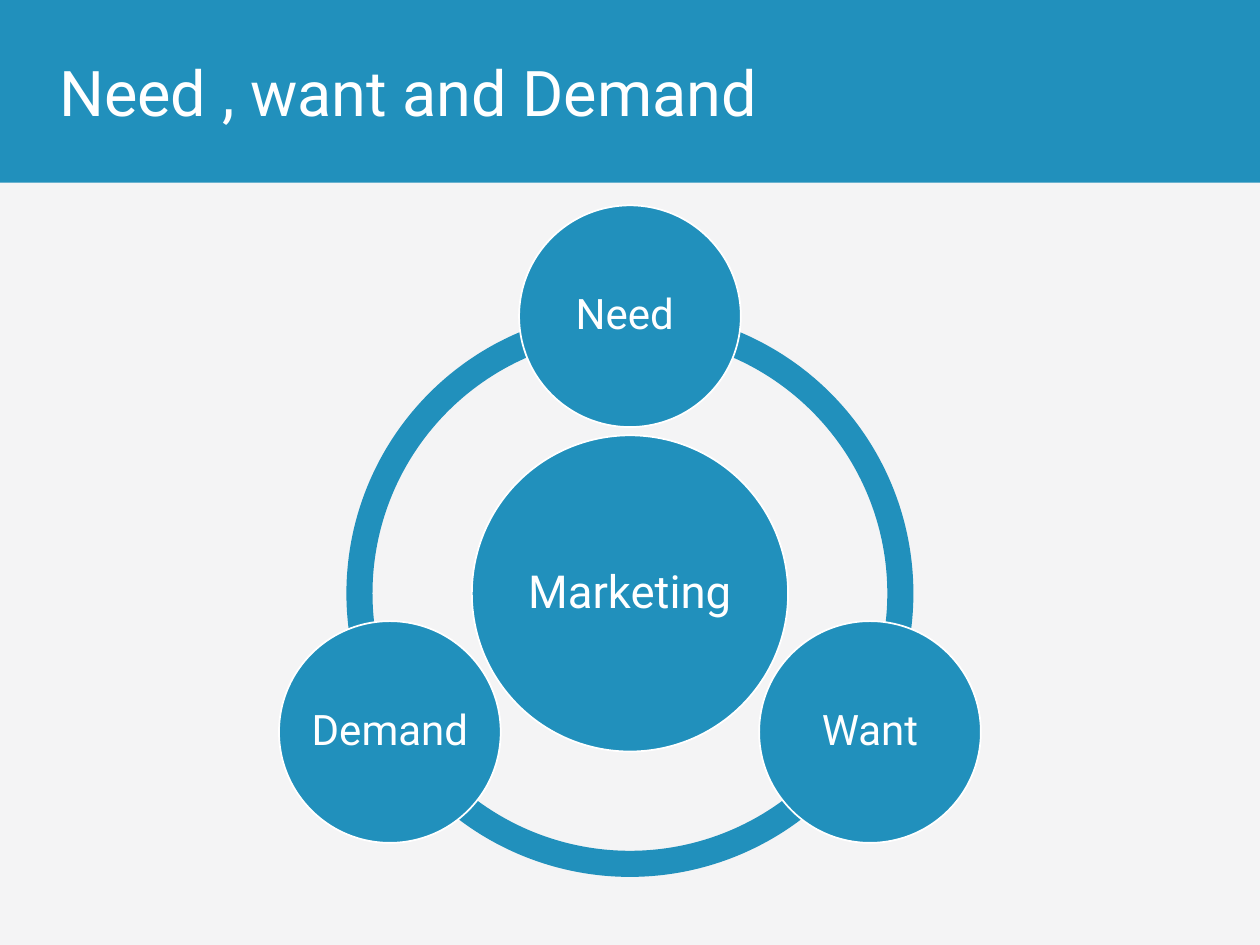
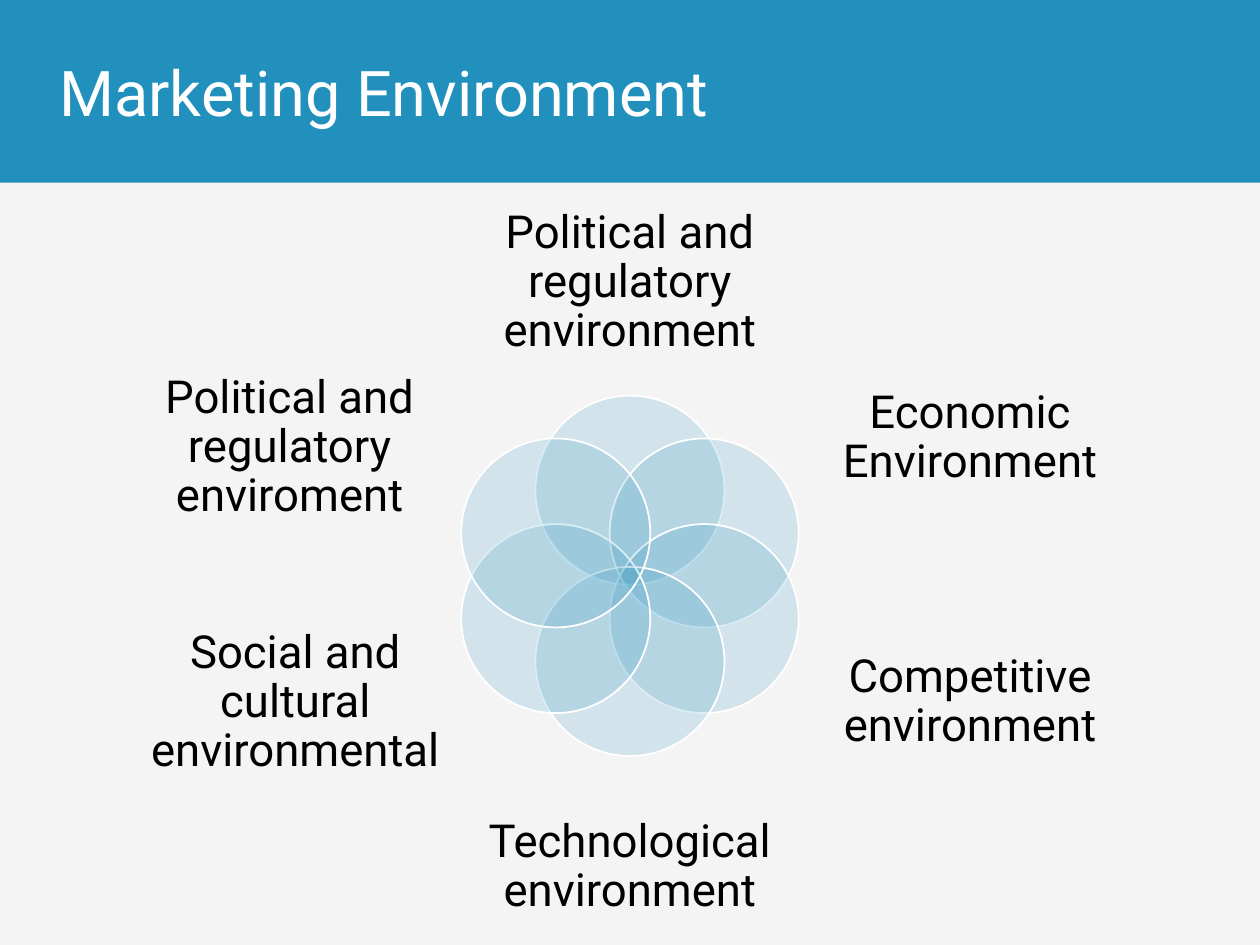
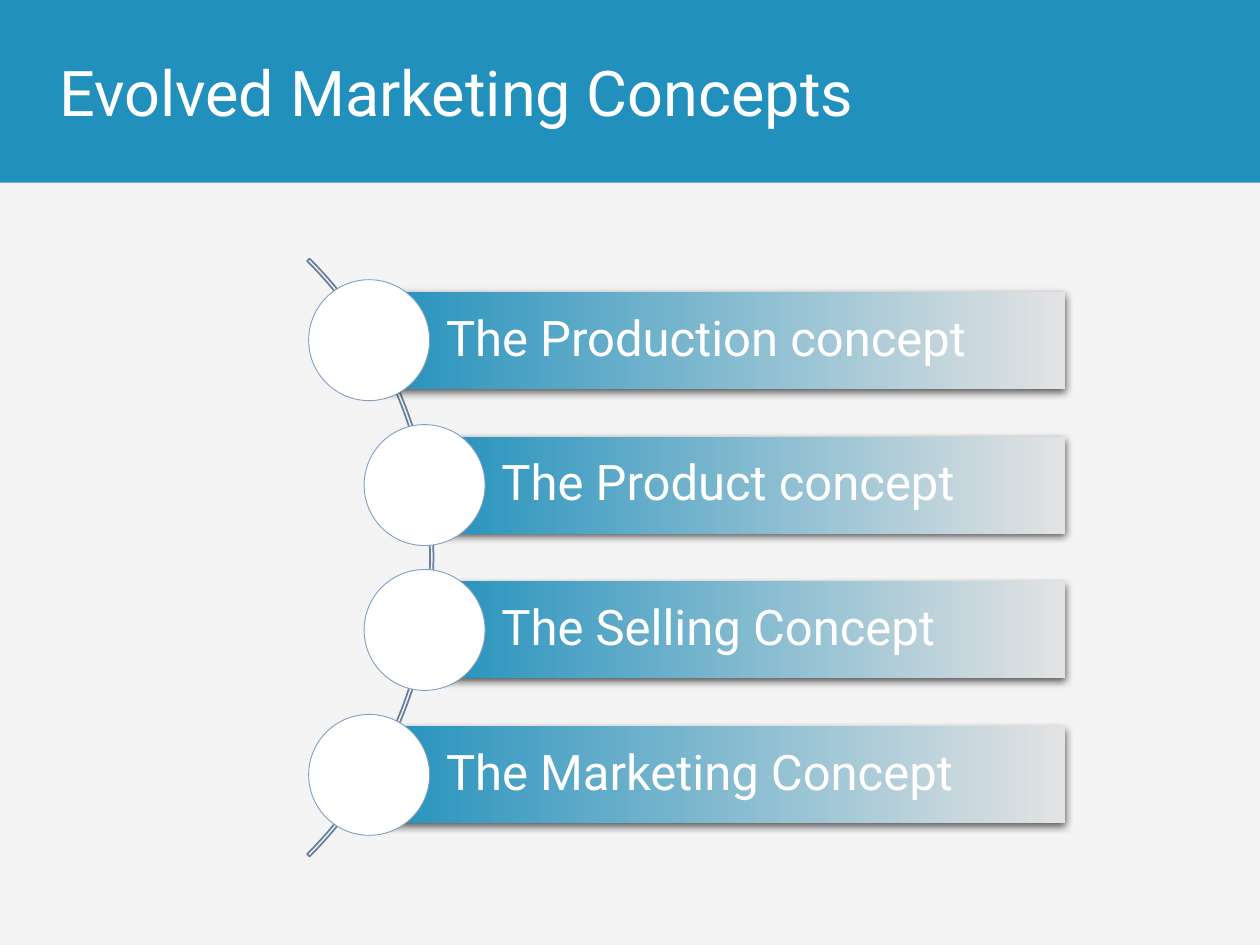
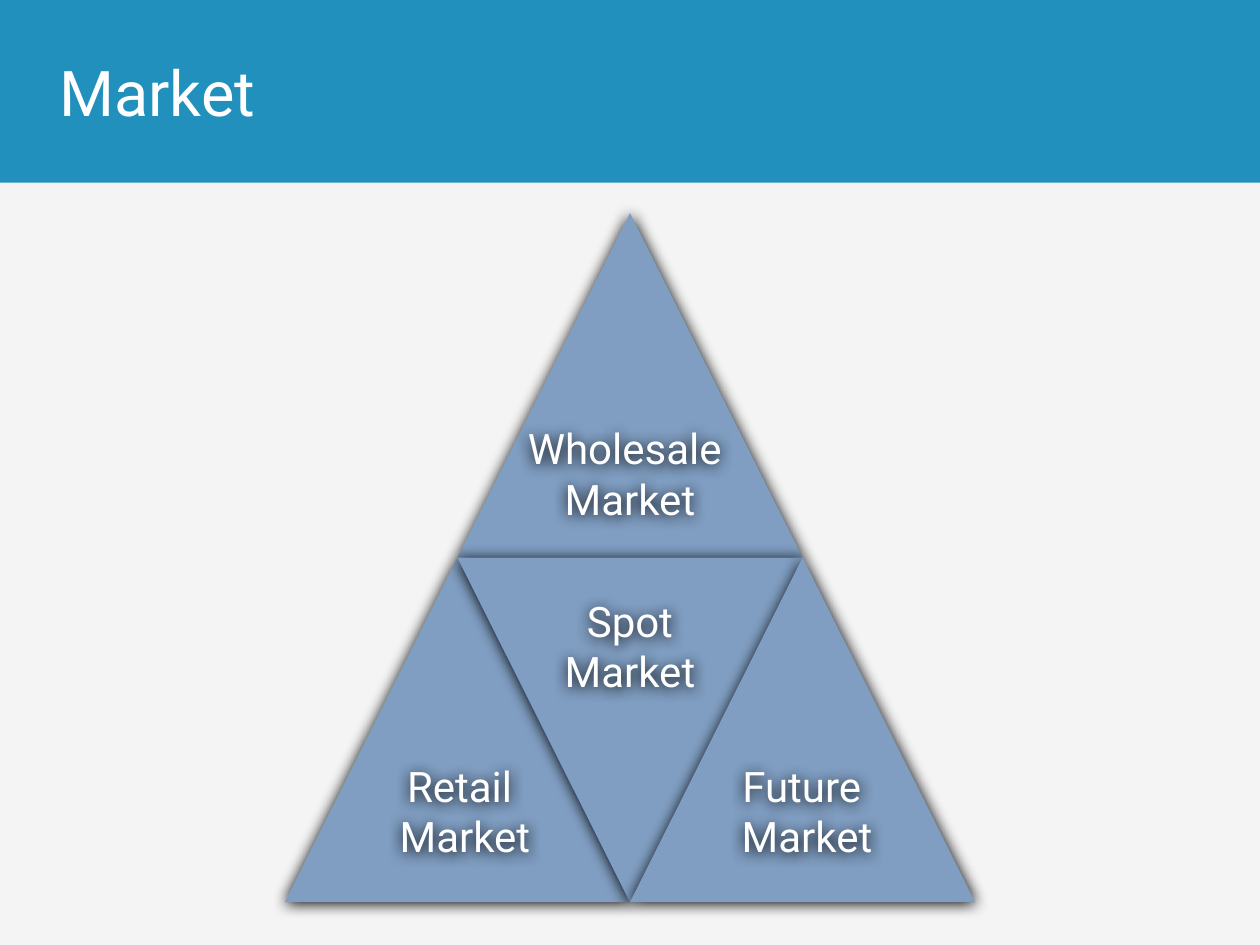
"""Four marketing slides drawn on a grid of 100 columns by 75 rows."""
import math

from lxml import etree
from pptx import Presentation
from pptx import util as u
from pptx.dml.color import RGBColor
from pptx.enum import shapes, text
from pptx.oxml.ns import qn

COLUMNS, ROWS = 100, 75
CELL = u.Inches(0.1)
BAND_ROWS = 14.5
TITLE_BOX = (3.7, 0, 86.2, BAND_ROWS)
FONT = "Roboto"
COLORS = {
    "blue": "2190BC",
    "paper": "F4F4F5",
    "white": "FFFFFF",
    "black": "000000",
    "silver": "E3E3E3",
    "steel": "809EC2",
    "slate": "677F9B",
}


def cells(*counts):
    """Turn grid counts into lengths."""
    return [u.Emu(round(count * CELL)) for count in counts]


def around(center_x, center_y, size):
    """Return the square box with this center."""
    return center_x - size / 2, center_y - size / 2, size, size


def on_circle(center, radius, degrees):
    """Return the point at an angle, clockwise from the right."""
    angle = math.radians(degrees)
    return center[0] + radius * math.cos(angle), center[1] + radius * math.sin(angle)


def color(name):
    """Look up a named colour."""
    return RGBColor.from_string(COLORS[name])


def write(shape, content, size, ink, align=text.PP_ALIGN.CENTER, spacing=None,
          insets=None, wrap=True):
    """Write one paragraph whose lines are joined by breaks."""
    frame = shape.text_frame
    frame.word_wrap = wrap
    frame.vertical_anchor = text.MSO_ANCHOR.MIDDLE
    if insets is not None:
        (frame.margin_left, frame.margin_top,
         frame.margin_right, frame.margin_bottom) = cells(*insets)
    paragraph = frame.paragraphs[0]
    paragraph.alignment = align
    if spacing:
        paragraph.line_spacing = spacing
    for number, line in enumerate(content.split("\n")):
        if number:
            paragraph.add_line_break()
        run = paragraph.add_run()
        run.text = line
        run.font.name = FONT
        run.font.size = u.Pt(size)
        run.font.color.rgb = color(ink)


def paint(shape, fill=None, line=None, width=1, opacity=None):
    """Set a plain fill and outline without the theme shadow."""
    shape.shadow.inherit = False
    if fill:
        shape.fill.solid()
        shape.fill.fore_color.rgb = color(fill)
    else:
        shape.fill.background()
    if opacity:
        tint = shape._element.spPr.find(qn("a:solidFill"))[0]
        etree.SubElement(tint, qn("a:alpha"), val=str(opacity * 1000))
    if line:
        shape.line.color.rgb = color(line)
        shape.line.width = u.Pt(width)
    else:
        shape.line.fill.background()


def cast_shadow(shape, opacity, blur, distance):
    """Add a soft shadow that falls straight down."""
    shape.shadow.inherit = False
    effects = shape._element.spPr.find(qn("a:effectLst"))
    shadow = etree.SubElement(
        effects, qn("a:outerShdw"), blurRad=str(u.Pt(blur)), dist=str(u.Pt(distance)),
        dir="5400000", algn="ctr", rotWithShape="0")
    tint = etree.SubElement(shadow, qn("a:srgbClr"), val=COLORS["black"])
    etree.SubElement(tint, qn("a:alpha"), val=str(opacity * 1000))


def add_circle(slide, center, size, **look):
    """Add a circle around a center."""
    circle = slide.shapes.add_shape(shapes.MSO_SHAPE.OVAL, *cells(*around(*center, size)))
    paint(circle, **look)
    return circle


def add_arc(slide, center, size, start, end, thickness, **look):
    """Add a ring segment between two angles in degrees."""
    arc = slide.shapes.add_shape(shapes.MSO_SHAPE.BLOCK_ARC, *cells(*around(*center, size)))
    for index, value in enumerate((start * 0.6, end * 0.6, thickness)):
        arc.adjustments[index] = value
    paint(arc, **look)


def add_bar(slide, box, content):
    """Add a gradient bar with its caption."""
    bar = slide.shapes.add_shape(shapes.MSO_SHAPE.RECTANGLE, *cells(*box))
    paint(bar)
    bar.fill.gradient()
    bar.fill.gradient_angle = 0
    for stop, name in zip(bar.fill.gradient_stops, ("blue", "silver")):
        stop.color.rgb = color(name)
    cast_shadow(bar, 63, 4.5, 1.5)
    write(bar, content, 28, "white", text.PP_ALIGN.LEFT, 0.9, (6.1, 0.8, 0.8, 0.8))


def add_triangle(slide, corners):
    """Add a shaded triangle through three corners."""
    points = [cells(*corner) for corner in corners]
    builder = slide.shapes.build_freeform(*points[0], scale=1.0)
    builder.add_line_segments(points[1:], close=True)
    triangle = builder.convert_to_shape()
    paint(triangle, "steel")
    cast_shadow(triangle, 100, 8.5, 1)


def set_up_master(presentation, layout):
    """Give every slide its background, band and title place."""
    master = presentation.slide_master
    master.background.fill.solid()
    master.background.fill.fore_color.rgb = color("paper")
    title = layout.placeholders[0]
    title.left, title.top, title.width, title.height = cells(*TITLE_BOX)


def add_band(presentation, slide):
    """Draw the title band and hand it to the master."""
    band = slide.shapes.add_shape(shapes.MSO_SHAPE.RECTANGLE, *cells(0, 0, COLUMNS, BAND_ROWS))
    paint(band, "blue")
    presentation.slide_master.shapes._spTree.insert(2, band._element)


def add_titled_slide(presentation, layout, heading):
    """Add a slide with a title."""
    slide = presentation.slides.add_slide(layout)
    title = slide.shapes.title
    title.left, title.top, title.width, title.height = cells(*TITLE_BOX)
    write(title, heading, 36, "white", text.PP_ALIGN.LEFT)
    return slide


def draw_needs(slide):
    """Draw three ideas on a ring around marketing."""
    center, orbit = (50, 47.1), 22
    for start, end in ((150, 270), (30, 150), (270, 30)):
        add_arc(slide, center, 45, start, end, 0.046, fill="blue")
    nodes = [("Marketing", center, 25.1, 26)]
    for content, degrees in (("Need ", 270), ("Want", 30), ("Demand ", 150)):
        nodes.append((content, on_circle(center, orbit, degrees), 17.6, 24))
    for content, place, diameter, size in nodes:
        circle = add_circle(slide, place, diameter, fill="blue", line="white")
        write(circle, content, size, "white", spacing=0.9, insets=(0, 0, 0, 0))


def draw_environment(slide):
    """Draw six overlapping circles with labels around them."""
    labels = (
        ("Political and regulatory environment", (38.7, 16.3, 22.6, 12.3)),
        ("Economic Environment", (66.3, 28, 21.4, 13.5)),
        ("Competitive environment", (66.3, 48.2, 21.4, 15.1)),
        ("Technological environment", (38.7, 62.7, 22.6, 12.3)),
        ("Social and cultural environmental", (11.1, 48.2, 24.7, 15.1)),
        ("Political and regulatory enviroment", (12.3, 28, 21.4, 15.1)),
    )
    for number, (content, box) in enumerate(labels):
        place = on_circle((50, 45.7), 6.8, number * 60 - 90)
        add_circle(slide, place, 15, fill="blue", line="white", opacity=16)
        label = slide.shapes.add_textbox(*cells(*box))
        write(label, content, 26, "black", spacing=0.9, insets=(0, 0, 0, 0))


def draw_concepts(slide):
    """Draw four bars that hang on a curve."""
    add_arc(slide, (0.85, 44.25), 67.1, 315, 45, 0.004, line="slate")
    concepts = (
        ("The Production concept", 29.3),
        ("The Product concept", 33.7),
        ("The Selling Concept", 33.7),
        ("The Marketing Concept", 29.3),
    )
    right, height = 84.5, 7.7
    for number, (content, left) in enumerate(concepts):
        middle = 27 + number * 11.5
        add_bar(slide, (left, middle - height / 2, right - left, height), content)
        add_circle(slide, (left, middle), 9.6, fill="white", line="steel", width=0.5)


def draw_markets(slide):
    """Draw four triangles that form a large one."""
    half, height = 13.7, 27.35
    top, middle, base = (16.9 + row * height for row in range(3))
    apex, left, right = (50, top), (50 - half, middle), (50 + half, middle)
    foot = (50, base)
    for corners in (
        (left, apex, right),
        ((50 - 2 * half, base), left, foot),
        (right, foot, left),
        (foot, right, (50 + 2 * half, base)),
    ):
        add_triangle(slide, corners)
    for content, box in (
        ("Wholesale \nMarket", (40.7, 33, 18.6, 9.1)),
        ("Spot\nMarket", (43.7, 46.7, 12.6, 9.1)),
        ("Future \nMarket", (57.6, 59.8, 12.9, 9.1)),
        ("Retail \nMarket", (30.6, 59.8, 12.6, 9.1)),
    ):
        label = slide.shapes.add_textbox(*cells(*box))
        write(label, content, 24, "white", wrap=False)
        label.text_frame.auto_size = text.MSO_AUTO_SIZE.SHAPE_TO_FIT_TEXT
        cast_shadow(label, 100, 8.5, 1)


def main():
    """Build and save the slides."""
    presentation = Presentation()
    presentation.slide_width, presentation.slide_height = cells(COLUMNS, ROWS)
    layout = presentation.slide_layouts[5]
    set_up_master(presentation, layout)
    for number, (heading, draw) in enumerate((
        ("Need , want and Demand", draw_needs),
        ("Marketing Environment", draw_environment),
        ("Evolved Marketing Concepts", draw_concepts),
        ("Market", draw_markets),
    )):
        slide = add_titled_slide(presentation, layout, heading)
        if number == 0:
            add_band(presentation, slide)
        draw(slide)
    presentation.save("out.pptx")


if __name__ == "__main__":
    main()
